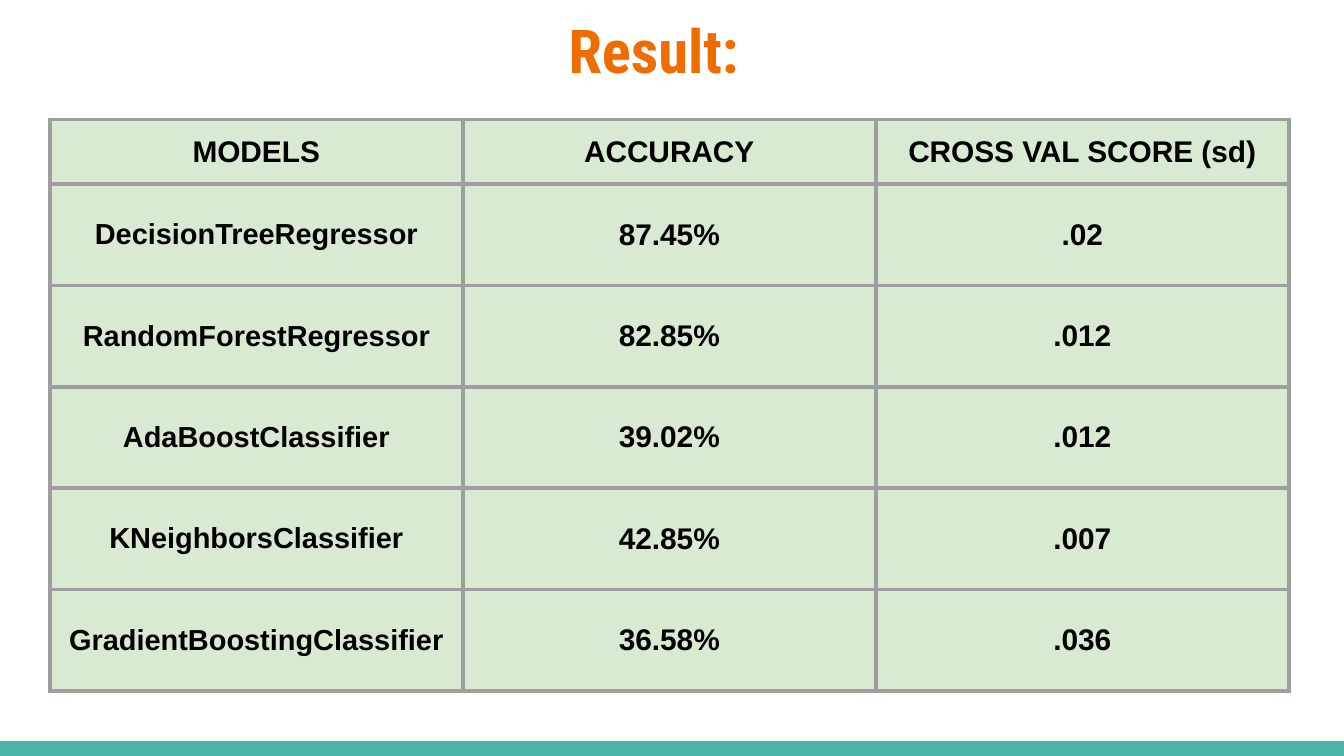
from lxml.etree import SubElement
from pptx import Presentation
from pptx.dml.color import RGBColor
from pptx.enum.shapes import MSO_SHAPE as Preset
from pptx.enum.text import MSO_ANCHOR as Anchor, MSO_AUTO_SIZE as AutoSize, PP_ALIGN as Align
from pptx.oxml.ns import qn
from pptx.util import Inches, Pt

TEAL = RGBColor(0x4D, 0xB6, 0xAC)
ORANGE = RGBColor(0xEF, 0x6C, 0x00)
BLACK = RGBColor(0, 0, 0)
PALE_GREEN = RGBColor(0xD9, 0xEA, 0xD3)
GREY = RGBColor(0x9E, 0x9E, 0x9E)

RESULTS = [
    ("MODELS", "ACCURACY", "CROSS VAL SCORE (sd)"),
    ("DecisionTreeRegressor", "87.45%", ".02"),
    ("RandomForestRegressor", "82.85%", ".012"),
    ("AdaBoostClassifier", "39.02%", ".012"),
    ("KNeighborsClassifier", "42.85%", ".007"),
    ("GradientBoostingClassifier", "36.58%", ".036"),
]
ROW_COUNT, COLUMN_COUNT = len(RESULTS), len(RESULTS[0])
GRID_WIDTH, GRID_HEIGHT = Inches(9.22), Inches(4.25)
COLUMN = GRID_WIDTH // COLUMN_COUNT
HEADER_ROW = Inches(0.48)
MODEL_ROW = (GRID_HEIGHT - HEADER_ROW) // (ROW_COUNT - 1)
INSET = Inches(0.1)
MARGINS = {f"margin_{side}": INSET for side in ("left", "top", "right", "bottom")}


def apply_format(target, values):
    for name, value in values.items():
        setattr(target, name, value)


def draw_borders(cell, color, width):
    properties = cell._tc.get_or_add_tcPr()
    for side in ("lnL", "lnR", "lnT", "lnB"):
        border = SubElement(properties, qn(f"a:{side}"), w=str(width))
        fill = SubElement(border, qn("a:solidFill"))
        SubElement(fill, qn("a:srgbClr"), val=str(color))


deck = Presentation()
deck.slide_width = Inches(10)
deck.slide_height = deck.slide_width * 9 // 16
slide = deck.slides.add_slide(deck.slide_layouts[5])

band_height = Inches(0.11)
band = slide.shapes.add_shape(
    Preset.RECTANGLE, 0, deck.slide_height - band_height, deck.slide_width, band_height)
band.shadow.inherit = False
band.fill.solid()
band.fill.fore_color.rgb = TEAL
band.line.fill.background()

heading = slide.shapes.title
apply_format(heading, {"left": Inches(4.13), "top": 0,
                       "width": Inches(1.73), "height": Inches(0.77)})
apply_format(heading.text_frame, {
    "text": "Result:", "word_wrap": True, "auto_size": AutoSize.NONE,
    "vertical_anchor": Anchor.TOP, **MARGINS})
heading_line = heading.text_frame.paragraphs[0]
heading_line.alignment = Align.LEFT
heading_font = heading_line.runs[0].font
apply_format(heading_font, {"name": "Roboto Condensed", "size": Pt(32.4), "bold": True})
heading_font.color.rgb = ORANGE

scores = slide.shapes.add_table(
    ROW_COUNT, COLUMN_COUNT, Inches(0.37), Inches(0.89), GRID_WIDTH, GRID_HEIGHT).table
for column in scores.columns:
    column.width = COLUMN

for r, entries in enumerate(RESULTS):
    scores.rows[r].height = MODEL_ROW if r else HEADER_ROW
    for c, entry in enumerate(entries):
        is_model = r > 0 and c == 0
        cell = scores.cell(r, c)
        apply_format(cell, {"text": entry, "vertical_anchor": Anchor.MIDDLE, **MARGINS})
        draw_borders(cell, GREY, Pt(2.25))
        cell.fill.solid()
        cell.fill.fore_color.rgb = PALE_GREEN
        line = cell.text_frame.paragraphs[0]
        line.alignment = Align.CENTER
        if is_model:
            line.space_before = Pt(10)
        font = line.runs[0].font
        apply_format(font, {"name": "Arial", "size": Pt(15.5 if is_model else 16), "bold": True})
        font.color.rgb = BLACK

deck.save("out.pptx")
